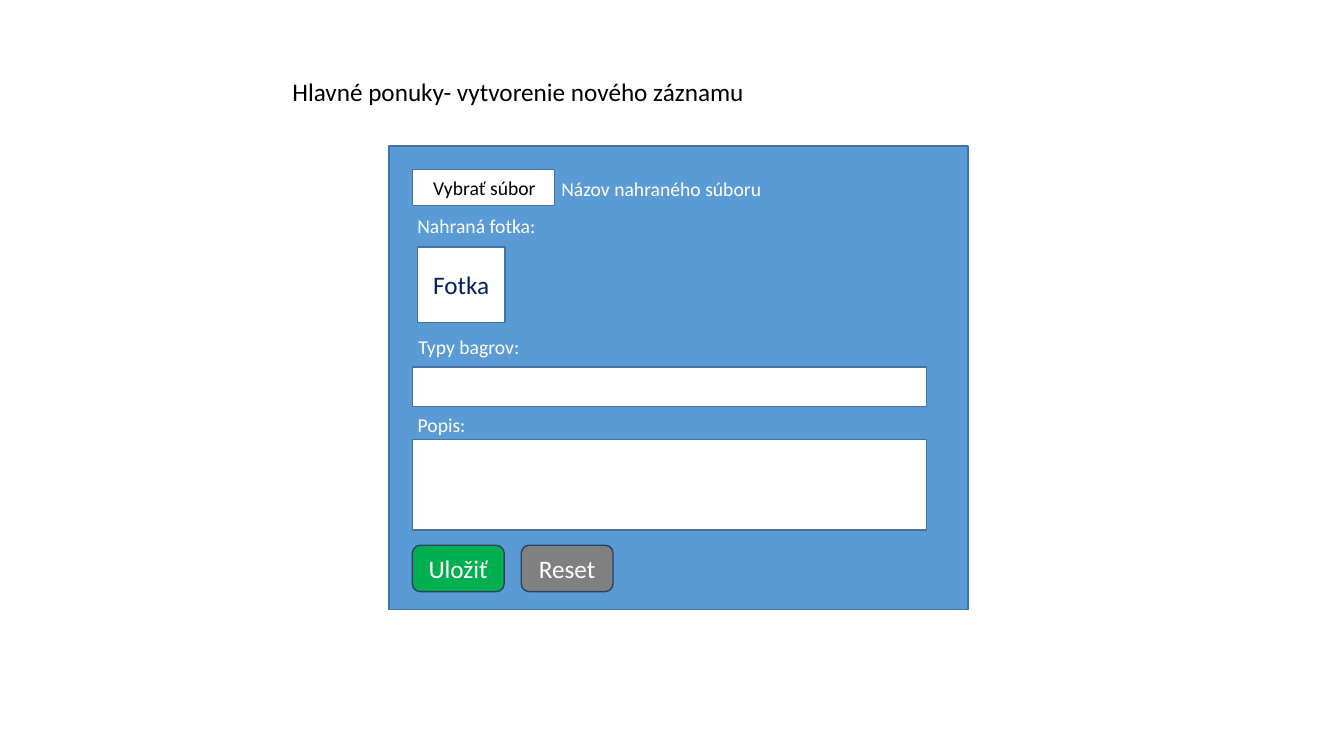
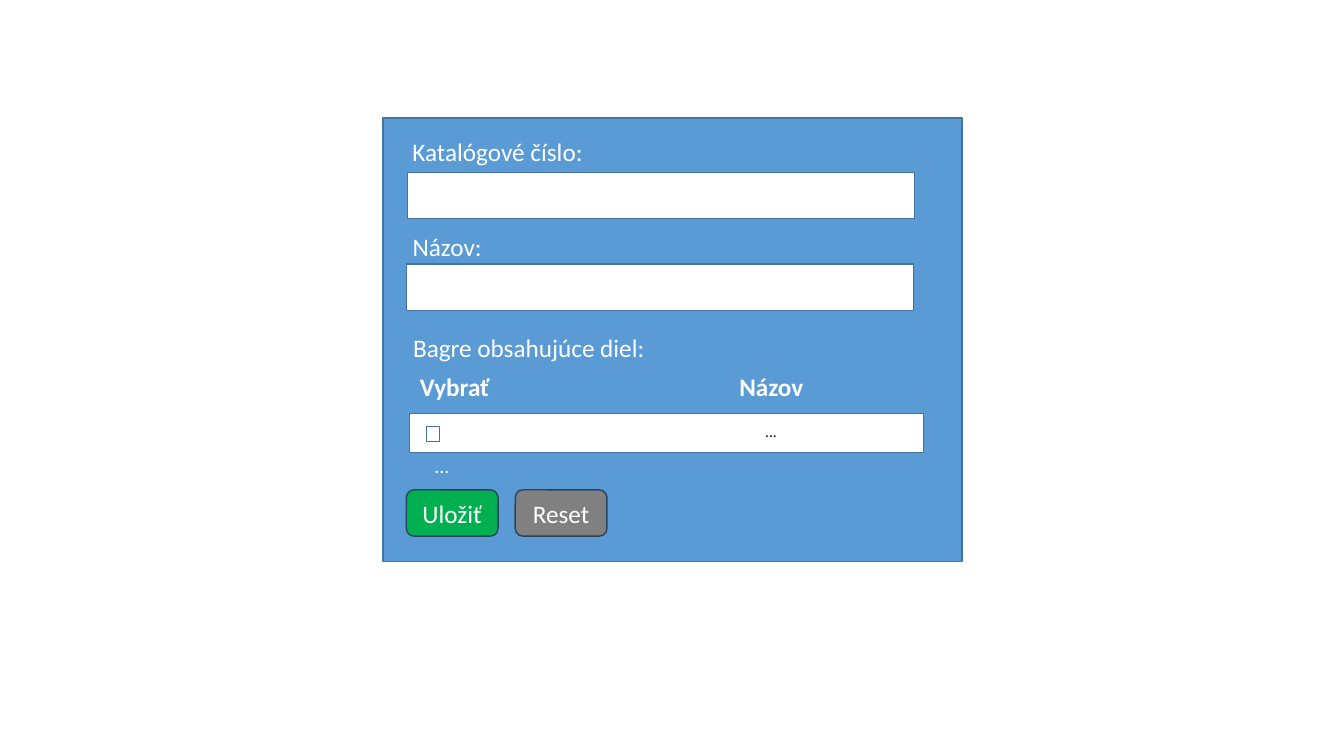
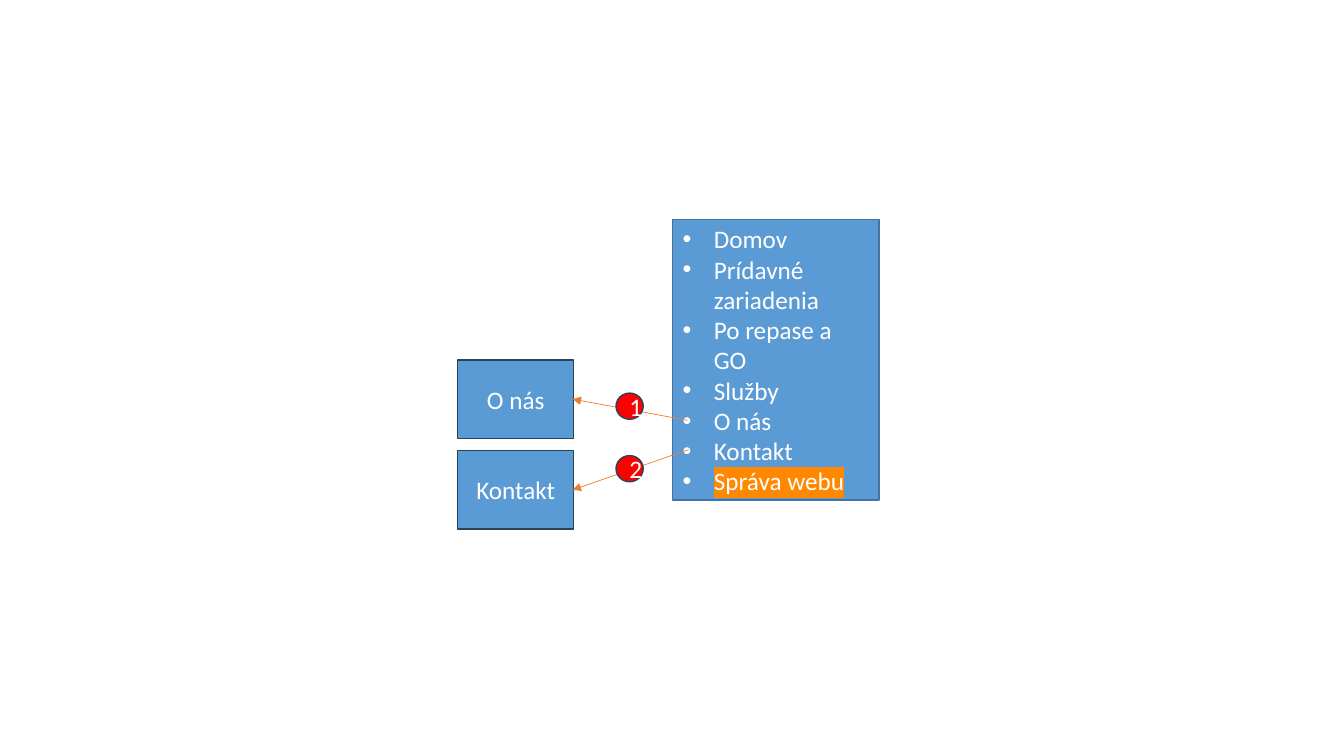
from lxml.etree import SubElement
from pptx import Presentation
from pptx.dml.color import RGBColor
from pptx.enum.shapes import MSO_CONNECTOR, MSO_SHAPE
from pptx.enum.text import MSO_ANCHOR, MSO_AUTO_SIZE, PP_ALIGN
from pptx.oxml.ns import qn
from pptx.util import Inches, Pt

BLUE = RGBColor(0x5B, 0x9B, 0xD5)
BLUE_EDGE = RGBColor(0x43, 0x73, 0x9E)
DARK_EDGE = RGBColor(0x28, 0x44, 0x5D)
NAVY = RGBColor(0x00, 0x20, 0x60)
GREEN = RGBColor(0x00, 0xB0, 0x50)
GRAY = RGBColor(0x80, 0x80, 0x80)
RED = RGBColor(0xFF, 0x00, 0x00)
ORANGE = RGBColor(0xED, 0x7D, 0x31)
HIGHLIGHT = RGBColor(0xFF, 0x88, 0x00)
WHITE = RGBColor(0xFF, 0xFF, 0xFF)
BLACK = RGBColor(0x00, 0x00, 0x00)
FONT = "Calibri"
LABEL_HEIGHTS = {11: 0.29, 14: 0.34, 18: 0.4}
LEFT, CENTER = PP_ALIGN.LEFT, PP_ALIGN.CENTER


def write_text(paragraph, text, size=18, color=WHITE, alignment=CENTER, bold=False):
    paragraph.alignment = alignment
    run = paragraph.add_run()
    run.text = text
    run.font.size = Pt(size)
    run.font.bold = bold
    run.font.color.rgb = color
    run.font.name = FONT
    return run


def add_box(slide, left, top, width, height, fill=WHITE, edge=BLUE_EDGE,
            text="", color=WHITE, kind=MSO_SHAPE.RECTANGLE):
    shape = slide.shapes.add_shape(kind, Inches(left), Inches(top), Inches(width), Inches(height))
    shape.shadow.inherit = False
    shape.fill.solid()
    shape.fill.fore_color.rgb = fill
    shape.line.color.rgb = edge
    shape.line.width = Pt(1)
    if text:
        write_text(shape.text_frame.paragraphs[0], text, color=color)


presentation = Presentation()
presentation.slide_width = Inches(13.33)
presentation.slide_height = Inches(7.5)
layouts = presentation.slide_layouts
record_slide = presentation.slides.add_slide(layouts.get_by_name("Title Only"))
part_slide = presentation.slides.add_slide(layouts.get_by_name("Blank"))
menu_slide = presentation.slides.add_slide(layouts.get_by_name("Title and Content"))

title = record_slide.shapes.title
title.left, title.top, title.width, title.height = Inches(2.8), Inches(0.71), Inches(4.74), Inches(0.4)
title.text_frame.word_wrap = False
title.text_frame.auto_size = MSO_AUTO_SIZE.NONE
title.text_frame.vertical_anchor = MSO_ANCHOR.TOP
write_text(title.text_frame.paragraphs[0], "Hlavné ponuky- vytvorenie nového záznamu",
           color=BLACK, alignment=LEFT)

add_box(record_slide, 3.86, 1.45, 5.74, 4.6, BLUE)
add_box(record_slide, 4.14, 2.45, 0.87, 0.75, text="Fotka", color=NAVY)
add_box(part_slide, 3.8, 1.17, 5.74, 4.4, BLUE)

fields = [
    (record_slide, 4.09, 1.68, 1.41, 0.36),
    (record_slide, 4.09, 3.64, 5.1, 0.39),
    (record_slide, 4.09, 4.36, 5.1, 0.9),
    (part_slide, 4.04, 1.71, 5.03, 0.46),
    (part_slide, 4.03, 2.62, 5.03, 0.46),
    (part_slide, 4.06, 4.1, 5.1, 0.39),
    (part_slide, 4.23, 4.23, 0.13, 0.15),
]
for slide, left, top, width, height in fields:
    add_box(slide, left, top, width, height)

labels = [
    (record_slide, 4.19, 1.7, 1.23, "Vybrať súbor", 14, BLACK, CENTER, False),
    (record_slide, 5.46, 1.71, 2.2, "Názov nahraného súboru", 14, WHITE, CENTER, False),
    (record_slide, 4.04, 2.07, 1.39, "Nahraná fotka:", 14, WHITE, LEFT, False),
    (record_slide, 4.04, 3.27, 1.22, "Typy bagrov:", 14, WHITE, CENTER, False),
    (record_slide, 4.04, 4.05, 0.68, "Popis:", 14, WHITE, CENTER, False),
    (part_slide, 3.98, 1.3, 1.91, "Katalógové číslo:", 18, WHITE, CENTER, False),
    (part_slide, 3.99, 2.25, 0.89, "Názov:", 18, WHITE, CENTER, False),
    (part_slide, 3.98, 3.25, 2.53, "Bagre obsahujúce diel:", 18, WHITE, CENTER, False),
    (part_slide, 4.06, 3.63, 0.9, "Vybrať", 18, WHITE, CENTER, True),
    (part_slide, 7.23, 3.63, 0.84, "Názov", 18, WHITE, CENTER, True),
    (part_slide, 7.49, 4.14, 0.32, "...", 11, BLACK, LEFT, False),
    (part_slide, 4.21, 4.45, 0.35, "...", 14, WHITE, LEFT, False),
]
for slide, left, top, width, text, size, color, alignment, bold in labels:
    label = slide.shapes.add_textbox(Inches(left), Inches(top), Inches(width), Inches(LABEL_HEIGHTS[size]))
    label.text_frame.word_wrap = False
    label.text_frame.auto_size = MSO_AUTO_SIZE.SHAPE_TO_FIT_TEXT
    write_text(label.text_frame.paragraphs[0], text, size, color, alignment, bold)

for slide, left, top in [(record_slide, 4.09, 5.41), (part_slide, 4.03, 4.86)]:
    for column, (text, fill) in enumerate([("Uložiť", GREEN), ("Reset", GRAY)]):
        add_box(slide, left + column * 1.08, top, 0.91, 0.46, fill, DARK_EDGE, text,
                kind=MSO_SHAPE.ROUNDED_RECTANGLE)

menu_title = menu_slide.shapes.title.element
menu_title.getparent().remove(menu_title)
menu = menu_slide.placeholders[1]
menu.left, menu.top, menu.width, menu.height = Inches(6.67), Inches(2.18), Inches(2.05), Inches(2.78)
menu.fill.solid()
menu.fill.fore_color.rgb = BLUE
menu.line.color.rgb = BLUE_EDGE
menu.line.width = Pt(1)
menu_frame = menu.text_frame
menu_frame.word_wrap = True
menu_frame.auto_size = MSO_AUTO_SIZE.NONE
menu_frame.vertical_anchor = MSO_ANCHOR.MIDDLE
menu_items = ["Domov", "Prídavné zariadenia", "Po repase a GO", "Služby", "O nás", "Kontakt", "Správa webu"]
for index, item in enumerate(menu_items):
    paragraph = menu_frame.add_paragraph() if index else menu_frame.paragraphs[0]
    run = write_text(paragraph, item, alignment=LEFT)
    paragraph.space_before = Pt(0)
    properties = paragraph._p.get_or_add_pPr()
    properties.set("marL", str(Inches(0.31)))
    properties.set("indent", str(-Inches(0.31)))
    SubElement(properties, qn("a:buFont")).set("typeface", "Arial")
    SubElement(properties, qn("a:buChar")).set("char", "•")

run_properties = run._r.get_or_add_rPr()
highlight = SubElement(run_properties, qn("a:highlight"))
SubElement(highlight, qn("a:srgbClr")).set("val", str(HIGHLIGHT))
run_properties.find(qn("a:solidFill")).addnext(highlight)

targets = [
    ("O nás", 3.57, (6.82, 4.17), (5.68, 3.96)),
    ("Kontakt", 4.47, (6.83, 4.46), (5.68, 4.86)),
]
for index, (text, top, start, end) in enumerate(targets):
    add_box(menu_slide, 4.54, top, 1.15, 0.78, BLUE, DARK_EDGE, text)
    arrow = menu_slide.shapes.add_connector(
        MSO_CONNECTOR.STRAIGHT, *[Inches(value) for value in start + end])
    arrow.line.color.rgb = ORANGE
    arrow.line.width = Pt(0.5)
    SubElement(arrow.line._get_or_add_ln(), qn("a:tailEnd")).set("type", "triangle")
    SubElement(arrow._element.spPr, qn("a:effectLst"))
    add_box(menu_slide, 6.11, 3.9 + index * 0.62, 0.27, 0.26, RED, DARK_EDGE, str(index + 1),
            kind=MSO_SHAPE.OVAL)

presentation.save("out.pptx")
